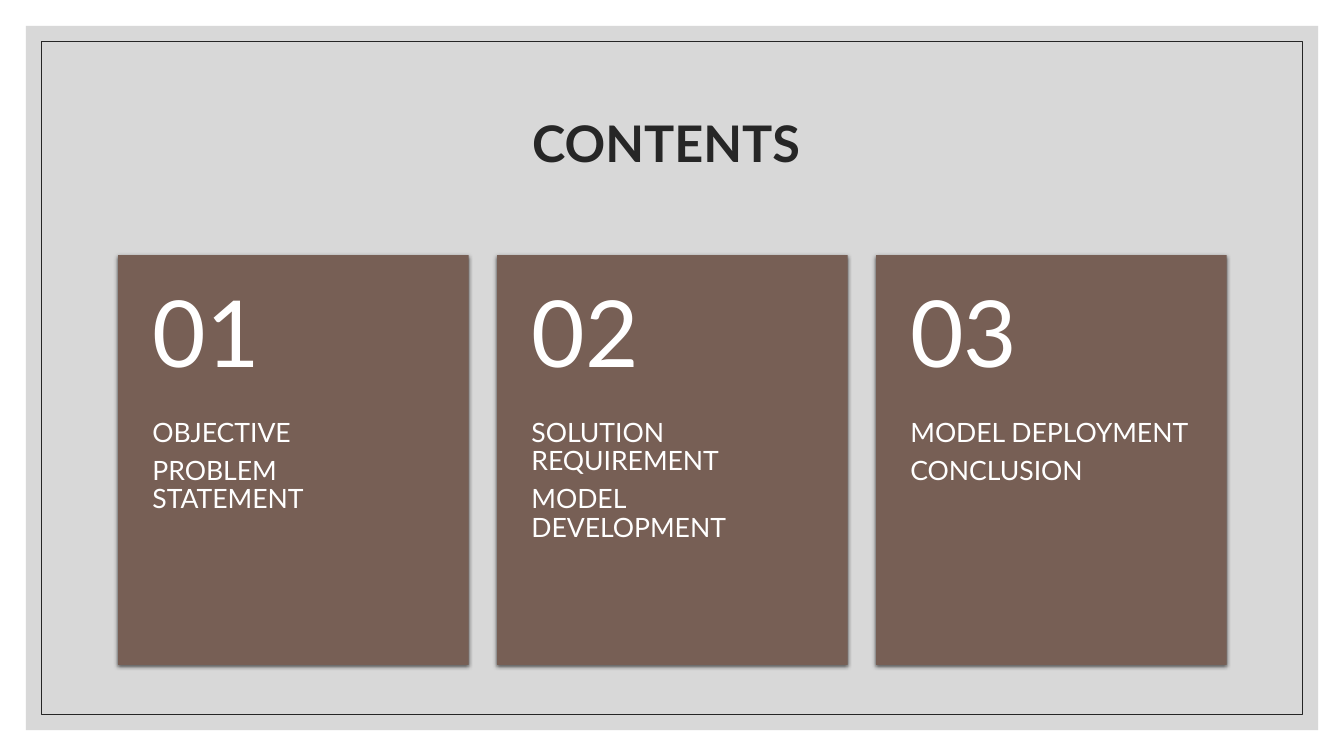
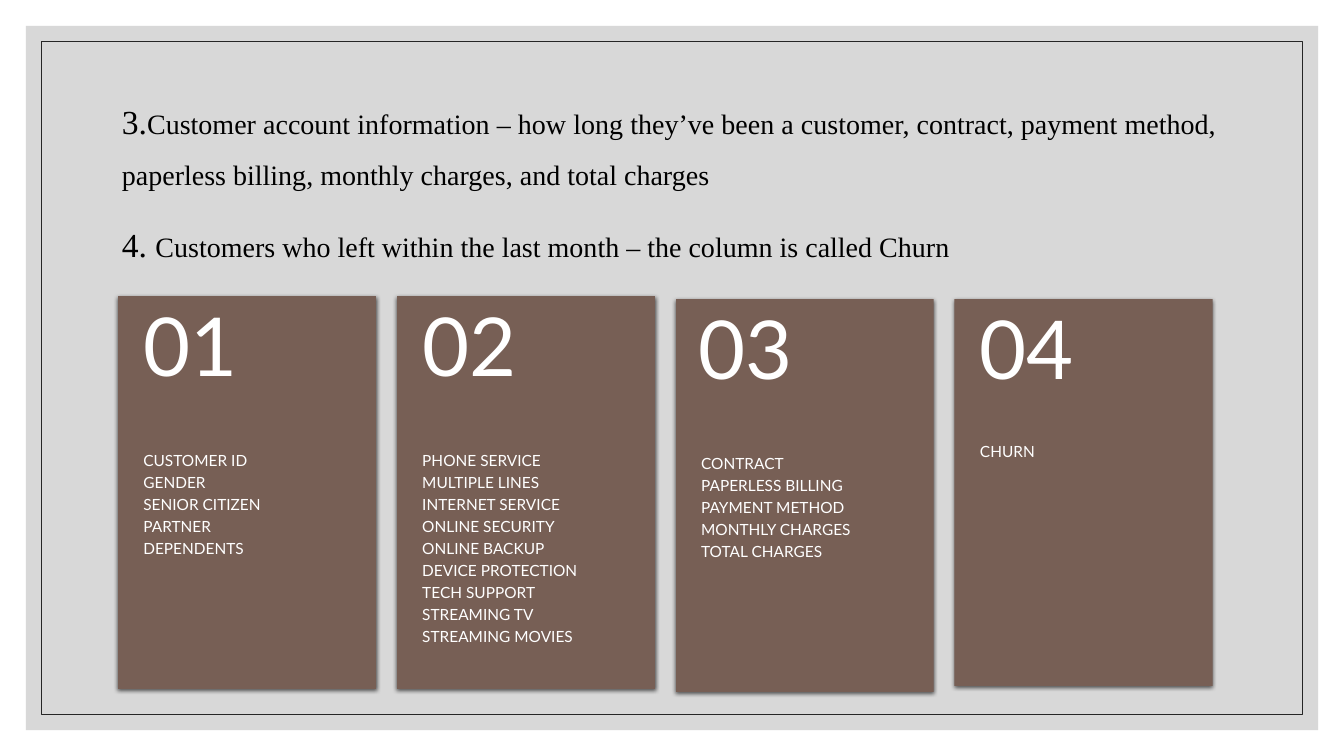
from dataclasses import dataclass

from lxml import etree
from pptx import Presentation
from pptx.dml.color import RGBColor
from pptx.enum import shapes, text
from pptx.oxml.ns import qn
from pptx.util import Pt


@dataclass(frozen=True)
class Theme:
    panel: str = "BFBFBF"
    ink: str = "262626"
    card_top: str = "775F55"
    card_bottom: str = "775E53"
    shadow: str = "000000"
    prose: str = "000000"
    on_card: str = "FFFFFF"
    sans: str = "Lato"
    serif: str = "Times New Roman"
    title_size: float = 36
    marker_size: float = 24
    prose_size: float = 20


@dataclass(frozen=True)
class CardStyle:
    """Measures shared by all cards of one row, in points."""
    left: float
    top: float
    width: float
    height: float
    pitch: float
    inset: float
    number_size: float
    item_size: float
    number_height: float
    number_lift: float = 0


@dataclass(frozen=True)
class Card:
    """Items of one card, with its small departures from the row."""
    items: tuple
    drop: float = 0
    trim: float = 0
    number_shift: float = 0


THEME = Theme()
SLIDE_WIDTH, SLIDE_HEIGHT = 960, 540
PANEL_MARGIN, FRAME_MARGIN = 18.5, 29.4
HEADER_SHARE = 0.4
NUMBER_PADDING = 13
SPACE_AFTER_SHARE = 0.35

CONTENTS_STYLE = CardStyle(
    left=84.2, top=182.2, width=250.6, height=293, pitch=270.7, inset=24.7,
    number_size=66, item_size=19, number_height=117.2)
CONTENTS_CARDS = (
    Card(("OBJECTIVE", "PROBLEM STATEMENT")),
    Card(("SOLUTION REQUIREMENT", "MODEL DEVELOPMENT")),
    Card(("MODEL DEPLOYMENT", "CONCLUSION")),
)

COLUMNS_STYLE = CardStyle(
    left=84.2, top=211.5, width=184.4, height=280.8, pitch=199.2, inset=18.2,
    number_size=58, item_size=11, number_height=88.5, number_lift=5.5)
COLUMNS_CARDS = (
    Card(("CUSTOMER ID", "GENDER", "SENIOR CITIZEN", "PARTNER", "DEPENDENTS")),
    Card(("PHONE SERVICE", "MULTIPLE LINES", "INTERNET SERVICE",
          "ONLINE SECURITY", "ONLINE BACKUP", "DEVICE PROTECTION",
          "TECH SUPPORT", "STREAMING TV", "STREAMING MOVIES")),
    Card(("CONTRACT", "PAPERLESS BILLING", "PAYMENT METHOD",
          "MONTHLY CHARGES", "TOTAL CHARGES"), drop=2, number_shift=-2.2),
    Card(("CHURN",), drop=2, trim=4.5),
)
DATA_NOTES = (
    ("3.", "Customer account information – how long they’ve been a customer, "
           "contract, payment method, paperless billing, monthly charges, "
           "and total charges"),
    ("4. ", "Customers who left within the last month – the column is called "
            "Churn"),
)


def rgb(code):
    return RGBColor.from_string(code)


def apply_format(target, values):
    for name, value in values.items():
        setattr(target, name, value)


def add_rect(parent, left, top, width, height):
    rect = parent.add_shape(shapes.MSO_SHAPE.RECTANGLE,
                            Pt(left), Pt(top), Pt(width), Pt(height))
    rect.shadow.inherit = False
    return rect


def add_text(parent, box, paragraphs, paragraph_format, frame_format=None):
    """Write paragraphs, each a list of (words, font values) runs."""
    frame = parent.add_textbox(*(Pt(length) for length in box)).text_frame
    apply_format(frame, {"word_wrap": True, **(frame_format or {})})
    for index, runs in enumerate(paragraphs):
        paragraph = frame.add_paragraph() if index else frame.paragraphs[0]
        apply_format(paragraph, paragraph_format)
        for words, (font_name, size, color, bold) in runs:
            run = paragraph.add_run()
            run.text = words
            apply_format(run.font, {"name": font_name, "size": Pt(size),
                                    "bold": bold})
            run.font.color.rgb = rgb(color)


def add_centered_rect(slide, margin):
    return add_rect(slide.shapes, margin, margin,
                    SLIDE_WIDTH - 2 * margin, SLIDE_HEIGHT - 2 * margin)


def add_framed_slide(deck):
    """Add a blank slide with the translucent panel and its thin frame."""
    slide = deck.slides.add_slide(deck.slide_layouts[6])
    panel = add_centered_rect(slide, PANEL_MARGIN)
    panel.fill.solid()
    panel.fill.fore_color.rgb = rgb(THEME.panel)
    panel.line.fill.background()
    panel_color = panel._element.spPr.find(".//" + qn("a:srgbClr"))
    etree.SubElement(panel_color, qn("a:alpha"), val="60000")

    frame = add_centered_rect(slide, FRAME_MARGIN)
    frame.fill.background()
    frame.line.color.rgb = rgb(THEME.ink)
    frame.line.width = Pt(0.5)
    return slide


def add_drop_shadow(shape):
    effects = shape._element.spPr.find(qn("a:effectLst"))
    outer = etree.SubElement(
        effects, qn("a:outerShdw"), blurRad=str(Pt(3)), dist=str(Pt(1)),
        dir="5400000", algn="ctr", rotWithShape="0")
    color = etree.SubElement(outer, qn("a:srgbClr"), val=THEME.shadow)
    etree.SubElement(color, qn("a:alpha"), val="63000")


def add_card_back(parent, left, top, width, height):
    back = add_rect(parent, left, top, width, height)
    back.fill.gradient()
    back.fill.gradient_angle = 270
    for stop, color in zip(back.fill.gradient_stops,
                           (THEME.card_top, THEME.card_bottom)):
        stop.color.rgb = rgb(color)
    back.line.fill.background()
    add_drop_shadow(back)


def add_card_text(parent, box, lines, size, inset, frame_format):
    font = (THEME.sans, size, THEME.on_card, False)
    add_text(parent, box, [[(line, font)] for line in lines],
             {"line_spacing": 0.9, "space_after": Pt(size * SPACE_AFTER_SHARE)},
             {"margin_left": Pt(inset), "margin_right": Pt(inset),
              **frame_format})


def add_card(slide, style, position, card):
    group = slide.shapes.add_group_shape().shapes
    left = style.left + position * style.pitch
    top = style.top + card.drop
    height = style.height - card.trim
    header = height * HEADER_SHARE
    add_card_back(group, left, top, style.width, height)
    add_card_text(group, (left, top + header, style.width, height - header),
                  card.items, style.item_size, style.inset,
                  {"margin_top": 0, "margin_bottom": Pt(26)})
    add_card_text(group, (left + card.number_shift, top - style.number_lift,
                          style.width, style.number_height),
                  [f"{position + 1:02}"], style.number_size, style.inset,
                  {"margin_top": Pt(NUMBER_PADDING),
                   "margin_bottom": Pt(NUMBER_PADDING),
                   "vertical_anchor": text.MSO_ANCHOR.MIDDLE})


def add_card_row(slide, style, cards):
    for position, card in enumerate(cards):
        add_card(slide, style, position, card)


def add_title(slide, words):
    font = (THEME.sans, THEME.title_size, THEME.ink, True)
    add_text(slide.shapes, (84.2, 50.4, 792, 108), [[(words, font)]],
             {"alignment": text.PP_ALIGN.CENTER, "line_spacing": 0.9},
             {"vertical_anchor": text.MSO_ANCHOR.MIDDLE})


def add_notes_text(slide, notes):
    marker_font = (THEME.serif, THEME.marker_size, THEME.prose, False)
    prose_font = (THEME.serif, THEME.prose_size, THEME.prose, False)
    add_text(slide.shapes, (80, 54, 796.3, 452),
             [[(marker, marker_font), (prose, prose_font)]
              for marker, prose in notes],
             {"alignment": text.PP_ALIGN.JUSTIFY, "line_spacing": 1.5,
              "space_before": Pt(9)})


def main():
    deck = Presentation()
    apply_format(deck, {"slide_width": Pt(SLIDE_WIDTH),
                        "slide_height": Pt(SLIDE_HEIGHT)})

    contents = add_framed_slide(deck)
    add_title(contents, "CONTENTS ")
    add_card_row(contents, CONTENTS_STYLE, CONTENTS_CARDS)

    columns = add_framed_slide(deck)
    add_notes_text(columns, DATA_NOTES)
    add_card_row(columns, COLUMNS_STYLE, COLUMNS_CARDS)

    deck.save("out.pptx")


if __name__ == "__main__":
    main()
